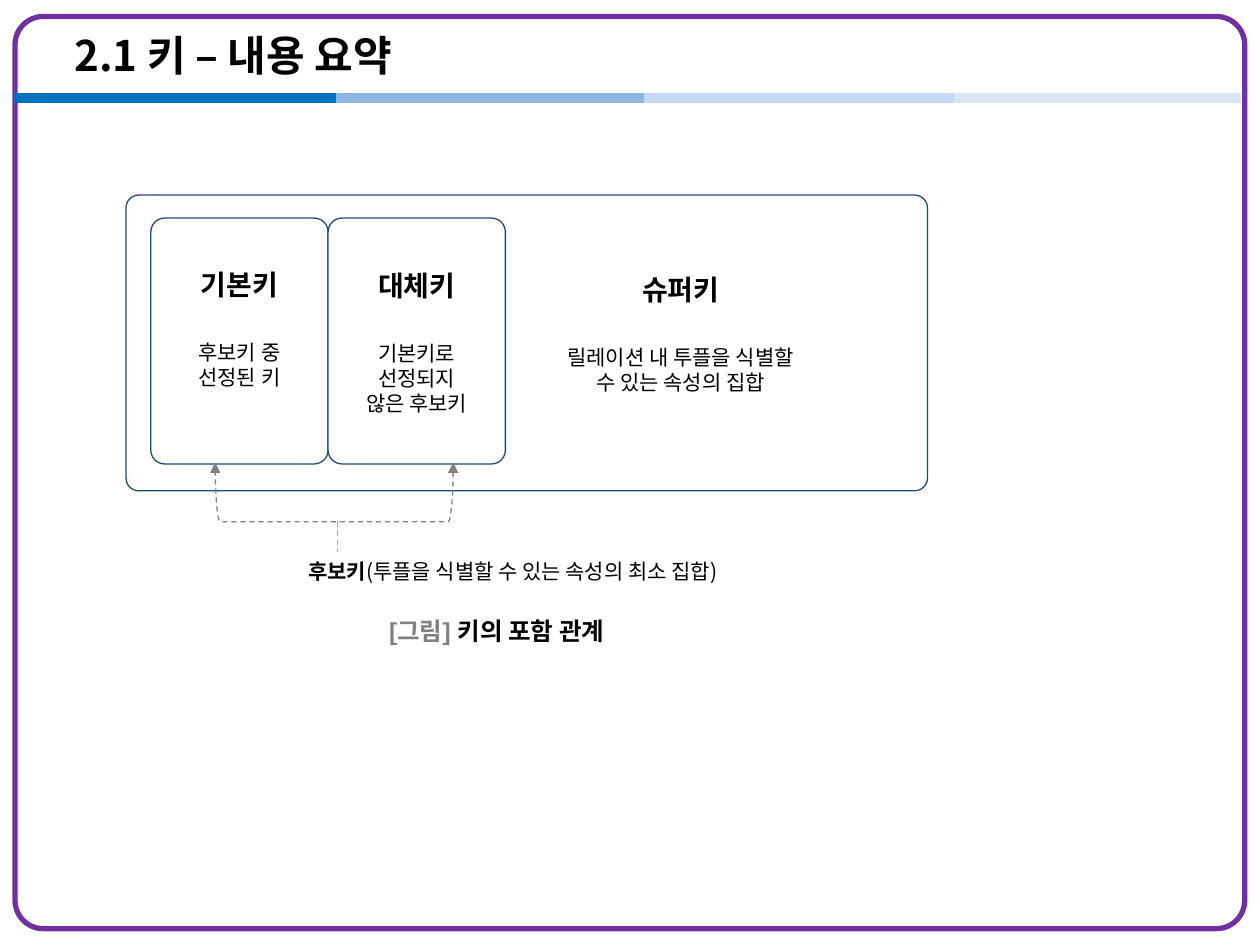
from dataclasses import dataclass

from lxml import etree
from pptx import Presentation
from pptx.dml.color import RGBColor
from pptx.enum.dml import MSO_LINE
from pptx.enum.shapes import MSO_CONNECTOR, MSO_SHAPE
from pptx.enum.text import MSO_ANCHOR, MSO_AUTO_SIZE, PP_ALIGN
from pptx.oxml.ns import qn
from pptx.util import Pt

ROUND_RECT = MSO_SHAPE.ROUNDED_RECTANGLE
LEFT_BRACKET = MSO_SHAPE.LEFT_BRACKET
STRAIGHT = MSO_CONNECTOR.STRAIGHT
DASH = MSO_LINE.DASH
LEFT, CENTER = PP_ALIGN.LEFT, PP_ALIGN.CENTER
TOP, MIDDLE = MSO_ANCHOR.TOP, MSO_ANCHOR.MIDDLE
NO_AUTOFIT = MSO_AUTO_SIZE.NONE


@dataclass(frozen=True)
class Theme:
    latin: str = "Arial"
    korean: str = "Noto Sans CJK KR"
    text: str = "000000"
    muted: str = "808080"
    stem: str = "A6A6A6"
    frame: str = "7030A0"
    box_line: str = "1F497D"
    box_fill: str = "FFFFFF"
    bars: tuple = ("0070C0", "8EB4E3", "C6D9F1", "DCE6F2")
    title_size: float = 24
    heading_size: float = 16
    caption_size: float = 14
    body_size: float = 12


class SlideBuilder:
    def __init__(self, prs, theme):
        self.theme = theme
        self.s = prs.slides.add_slide(prs.slide_layouts[5])

    def style_paragraph(self, p, size, bold=None, latin=None, align=LEFT):
        p.alignment = align
        font = p.font
        font.size, font.bold = Pt(size), bold
        font.name = latin or self.theme.latin
        font.color.rgb = RGBColor.from_string(self.theme.text)
        etree.SubElement(font._element, qn("a:ea")).set("typeface", self.theme.korean)

    def style_line(self, line, color, width, dash=None):
        line.color.rgb = RGBColor.from_string(color)
        line.width = Pt(width)
        if dash:
            line.dash_style = dash

    def title(self, text, x, y, w, h):
        sp = self.s.shapes.title
        sp.left, sp.top, sp.width, sp.height = Pt(x), Pt(y), Pt(w), Pt(h)
        tf = sp.text_frame
        tf.text = text
        tf.auto_size, tf.vertical_anchor = NO_AUTOFIT, MIDDLE
        self.style_paragraph(tf.paragraphs[0], self.theme.title_size, True, self.theme.korean)

    def shape(self, kind, x, y, w, h, color, width, adj=None, fill=None):
        sp = self.s.shapes.add_shape(kind, Pt(x), Pt(y), Pt(w), Pt(h))
        sp.shadow.inherit = False
        if fill:
            sp.fill.solid()
            sp.fill.fore_color.rgb = RGBColor.from_string(fill)
        else:
            sp.fill.background()
        self.style_line(sp.line, color, width)
        if adj is not None:
            sp.adjustments[0] = adj
        return sp

    def key_box(self, x, y, w, h, adj, heading, lines, top, left=7.2, right=7.2):
        """Rounded box with a bold heading and a description, placed by its insets."""
        t = self.theme
        sp = self.shape(ROUND_RECT, x, y, w, h, t.box_line, 0.75, adj, t.box_fill)
        tf = sp.text_frame
        tf.word_wrap, tf.vertical_anchor = True, TOP
        tf.margin_top, tf.margin_left, tf.margin_right = Pt(top), Pt(left), Pt(right)
        p = tf.paragraphs[0]
        p.text, p.line_spacing = heading, Pt(20)
        self.style_paragraph(p, t.heading_size, True, align=CENTER)
        for i, text in enumerate(lines):
            p = tf.add_paragraph()
            p.text, p.line_spacing = text, Pt(14.3)
            if i == 0:
                p.space_before = Pt(22)
            self.style_paragraph(p, t.body_size, False, align=CENTER)

    def bracket(self, x, y, w, h):
        """Upward-opening bracket with arrowheads; x, y, w, h are as it shows."""
        sp = self.shape(LEFT_BRACKET, x + (w - h) / 2, y + (h - w) / 2, h, w,
                        self.theme.muted, 0.75)
        sp.rotation = 270
        sp.line.dash_style = DASH
        ln = sp.line._get_or_add_ln()
        for end in ("a:headEnd", "a:tailEnd"):
            etree.SubElement(ln, qn(end)).set("type", "triangle")

    def line(self, x1, y1, x2, y2, color, width, dash=None):
        c = self.s.shapes.add_connector(STRAIGHT, Pt(x1), Pt(y1), Pt(x2), Pt(y2))
        self.style_line(c.line, color, width, dash)
        etree.SubElement(c._element.spPr, qn("a:effectLst"))

    def label(self, runs, x, y, w, h, size, latin, wrap):
        """One-line text box; runs are (text, colour, bold) triples."""
        tf = self.s.shapes.add_textbox(Pt(x), Pt(y), Pt(w), Pt(h)).text_frame
        tf.word_wrap, tf.vertical_anchor = wrap, MIDDLE
        p = tf.paragraphs[0]
        self.style_paragraph(p, size, latin=latin)
        for text, color, bold in runs:
            r = p.add_run()
            r.text, r.font.bold = text, bold
            r.font.color.rgb = RGBColor.from_string(color)


def main():
    prs = Presentation()
    prs.slide_width, prs.slide_height = Pt(720), Pt(540)
    t = Theme()
    b = SlideBuilder(prs, t)

    b.shape(ROUND_RECT, 8.6, 9.4, 702.7, 521.3, t.frame, 3, 0.031)
    bar_edges = (8, 192, 368, 545, 709)
    for color, x1, x2 in zip(t.bars, bar_edges, bar_edges[1:]):
        b.line(x1, 56, x2, 56, color, 6)
    b.title("2.1 키 – 내용 요약", 35.3, 9.4, 595.4, 43.2)

    b.key_box(72, 111.5, 458, 169, 0.043, "슈퍼키",
              ("릴레이션 내 투플을 식별할", "수 있는 속성의 집합"), 41.5, 223, 47)
    inner_keys = (
        ("기본키", ("후보키 중", "선정된 키"), 25),
        ("대체키", ("기본키로", "선정되지", "않은 후보키"), 26),
    )
    key_w = 101.3
    for i, (heading, lines, top) in enumerate(inner_keys):
        b.key_box(86.2 + i * key_w, 124.6, key_w, 140.5, 0.078, heading, lines, top)

    b.bracket(123, 264.3, 136, 33.8)
    b.line(193, 298, 193, 315.4, t.stem, 0.75, DASH)
    b.label((("후보키", t.text, True),
             ("(투플을 식별할 수 있는 속성의 최소 집합)", t.text, False)),
            169, 315.4, 294.5, 21.6, t.body_size, t.korean, True)
    b.label((("[그림] ", t.muted, True), ("키의 포함 관계", t.text, True)),
            215.3, 349.2, 147.6, 22.3, t.caption_size, t.latin, False)

    prs.save("out.pptx")


if __name__ == "__main__":
    main()
